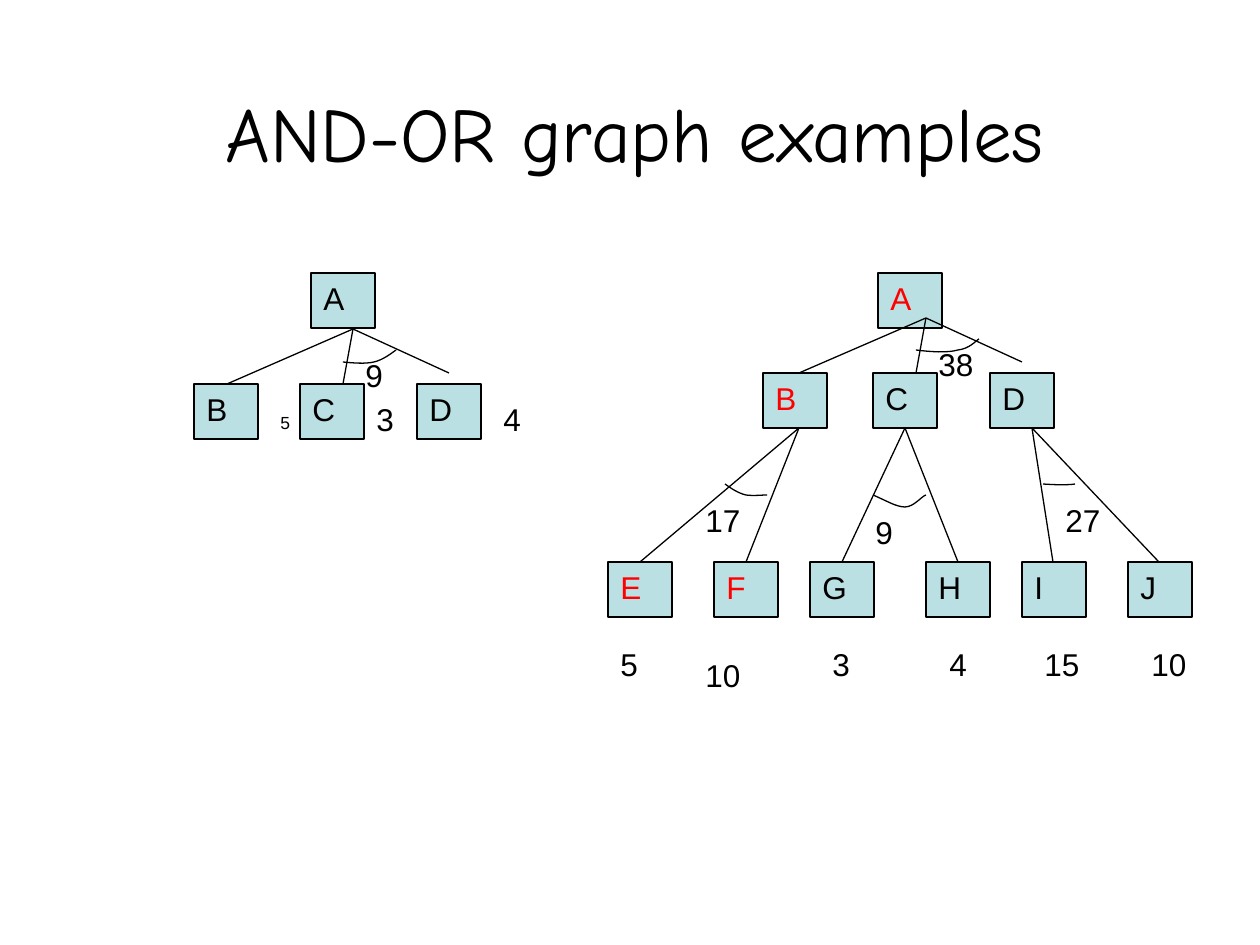
from lxml.etree import SubElement
from pptx import Presentation
from pptx.dml.color import RGBColor
from pptx.enum.shapes import MSO_CONNECTOR, MSO_SHAPE
from pptx.enum.text import MSO_ANCHOR, PP_ALIGN
from pptx.oxml.ns import qn
from pptx.util import Inches, Pt

SCALE = Inches(1) / 126
NODE_WIDTH, NODE_HEIGHT = 64, 55
CURVE_STEPS = 8
BLACK, RED, NODE_FILL = "000000", "FF0000", "BBE0E3"

SMALL_TREE = {
    "nodes": [("A", 117, 0, BLACK), ("B", 0, 111, BLACK),
              ("C", 106, 111, BLACK), ("D", 223, 111, BLACK)],
    "edges": [((159, 56), [(33, 111), (149, 111), (255, 100)])],
    "arcs": [[(149, 89), (160, 90), (171, 91), (180, 89),
              (189, 87), (198, 80), (202, 77)]],
    "costs": [("5", 74, 133, 32, 10), ("3", 170, 121, 43, 18),
              ("4", 297, 121, 43, 18), ("9", 159, 77, 53, 18)],
}

LARGE_TREE = {
    "nodes": [("A", 270, 0, RED), ("B", 155, 100, RED),
              ("C", 265, 100, BLACK), ("D", 382, 100, BLACK),
              ("E", 0, 289, RED), ("F", 106, 289, RED),
              ("G", 202, 289, BLACK), ("H", 318, 289, BLACK),
              ("I", 414, 289, BLACK), ("J", 520, 289, BLACK)],
    "edges": [((318, 45), [(191, 100), (308, 100), (414, 89)]),
              ((191, 155), [(32, 289), (138, 289)]),
              ((297, 155), [(234, 289), (350, 289)]),
              ((424, 155), [(445, 289), (551, 289)])],
    "arcs": [[(117, 211), (124, 216), (130, 220), (138, 222),
              (145, 223), (154, 222), (159, 222)],
             [(265, 222), (277, 227), (288, 234), (297, 234),
              (306, 234), (314, 223), (318, 222)],
             [(435, 211), (448, 212), (462, 212), (467, 211)],
             [(308, 77), (323, 79), (340, 80), (350, 77),
              (361, 76), (368, 68), (371, 66)]],
    "costs": [("5", 0, 366, 53, 18), ("10", 85, 377, 74, 18),
              ("3", 212, 366, 53, 18), ("4", 329, 366, 53, 18),
              ("15", 424, 366, 74, 18), ("10", 531, 366, 64, 18),
              ("17", 85, 222, 74, 18), ("9", 255, 234, 53, 18),
              ("27", 445, 222, 84, 18), ("38", 318, 66, 74, 18)],
}


def emu(*pixels):
    return [round(pixel * SCALE) for pixel in pixels]


def color(value):
    return RGBColor.from_string(value)


def set_line(shape):
    shape.line.color.rgb = color(BLACK)
    shape.line.width = Pt(0.75)


def set_text(shape, text, size, font="Arial", font_color=BLACK,
             alignment=PP_ALIGN.LEFT, anchor=MSO_ANCHOR.TOP):
    frame = shape.text_frame
    frame.word_wrap = True
    frame.vertical_anchor = anchor
    paragraph = frame.paragraphs[0]
    paragraph.text = text
    paragraph.alignment = alignment
    paragraph.font.name = font
    paragraph.font.size = Pt(size)
    paragraph.font.color.rgb = color(font_color)


def add_title(slide, left, top, width, height):
    title = slide.shapes.add_textbox(*emu(left, top, width, height))
    set_text(title, "AND-OR graph examples", 44, "Comic Neue",
             alignment=PP_ALIGN.CENTER, anchor=MSO_ANCHOR.MIDDLE)


def add_node(slide, left, top, name, font_color):
    node = slide.shapes.add_shape(
        MSO_SHAPE.RECTANGLE, *emu(left, top, NODE_WIDTH, NODE_HEIGHT))
    node.shadow.inherit = False
    node.fill.solid()
    node.fill.fore_color.rgb = color(NODE_FILL)
    set_line(node)
    set_text(node, name, 18, font_color=font_color)


def add_edge(slide, start, end):
    edge = slide.shapes.add_connector(
        MSO_CONNECTOR.STRAIGHT, *emu(*start, *end))
    set_line(edge)
    SubElement(edge._element.spPr, qn("a:effectLst"))


def curve_point(controls, t):
    weights = ((1 - t) ** 3, 3 * t * (1 - t) ** 2, 3 * t * t * (1 - t), t ** 3)
    return tuple(sum(weight * value for weight, value in zip(weights, axis))
                 for axis in zip(*controls))


def add_arc(slide, points):
    vertices = [emu(*curve_point(points[first:first + 4], step / CURVE_STEPS))
                for first in range(0, len(points) - 1, 3)
                for step in range(1, CURVE_STEPS + 1)]
    builder = slide.shapes.build_freeform(*emu(*points[0]))
    builder.add_line_segments(vertices, close=False)
    arc = builder.convert_to_shape()
    arc.shadow.inherit = False
    arc.fill.background()
    set_line(arc)


def add_tree(slide, left, top, tree):
    def place(point):
        return left + point[0], top + point[1]

    for name, x, y, font_color in tree["nodes"]:
        add_node(slide, left + x, top + y, name, font_color)
    for start, ends in tree["edges"]:
        for end in ends:
            add_edge(slide, place(start), place(end))
    for points in tree["arcs"]:
        add_arc(slide, [place(point) for point in points])
    for text, x, y, width, size in tree["costs"]:
        height = 53 if size == 18 else 35
        cost = slide.shapes.add_textbox(*emu(left + x, top + y, width, height))
        set_text(cost, text, size)


presentation = Presentation()
presentation.slide_width, presentation.slide_height = emu(1260, 945)
slide = presentation.slides.add_slide(presentation.slide_layouts[6])
add_title(slide, 68, 53, 1134, 158)
add_tree(slide, 194, 273, SMALL_TREE)
add_tree(slide, 608, 273, LARGE_TREE)
presentation.save("out.pptx")
